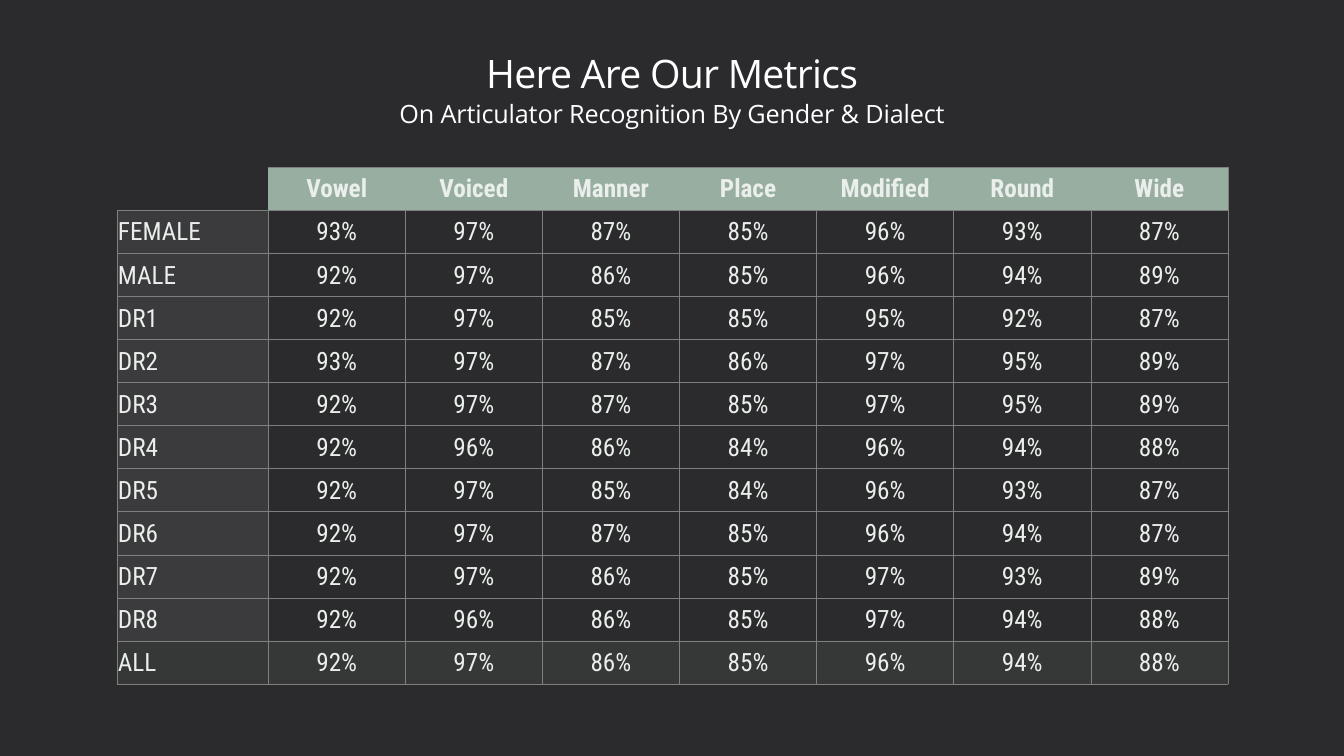
from lxml.etree import SubElement as Sub
from pptx import Presentation
from pptx.dml.color import RGBColor as RGB
from pptx.enum.text import MSO_ANCHOR as Anchor, PP_ALIGN as Align
from pptx.oxml.ns import qn
from pptx.util import Inches, Pt

TITLE = "Here Are Our Metrics"
SUBTITLE = "On Articulator Recognition By Gender & Dialect"
HEADS = ["", "Vowel", "Voiced", "Manner", "Place", "Modified", "Round", "Wide"]
SCORES = [
    ("FEMALE", 93, 97, 87, 85, 96, 93, 87),
    ("MALE", 92, 97, 86, 85, 96, 94, 89),
    ("DR1", 92, 97, 85, 85, 95, 92, 87),
    ("DR2", 93, 97, 87, 86, 97, 95, 89),
    ("DR3", 92, 97, 87, 85, 97, 95, 89),
    ("DR4", 92, 96, 86, 84, 96, 94, 88),
    ("DR5", 92, 97, 85, 84, 96, 93, 87),
    ("DR6", 92, 97, 87, 85, 96, 94, 87),
    ("DR7", 92, 97, 86, 85, 97, 93, 89),
    ("DR8", 92, 96, 86, 85, 97, 94, 88),
    ("ALL", 92, 97, 86, 85, 96, 94, 88),
]
COLORS = {"back": "2B2B2D", "title": "FFFFFF", "text": "EAEFEC",
          "sage": "97AEA0", "label": "555555", "grid": "7F7F7F"}
NO_STYLE = "{2D5ABB26-0587-4C30-8999-92F81FD0307C}"


def color(name):
    return RGB.from_string(COLORS[name])


def add_alpha(clr, percent):
    Sub(clr, qn("a:alpha"), val=str(percent * 1000))


def set_heading(shape, text, top, height, size, track, anchor):
    """Place a centred heading; track is the letter spacing in points."""
    shape.left, shape.top = Inches(1), Inches(top)
    shape.width, shape.height = Inches(11.33), Inches(height)
    frame = shape.text_frame
    frame.text = text
    frame.word_wrap = True
    frame.vertical_anchor = anchor
    frame.margin_left = frame.margin_right = 0
    frame.margin_top = frame.margin_bottom = 0
    para = frame.paragraphs[0]
    para.alignment = Align.CENTER
    para.line_spacing = 0.86
    run = para.runs[0]
    run.font.size, run.font.name = Pt(size), "Open Sans"
    run.font.color.rgb = color("title")
    run.font._element.set("spc", str(round(track * 100)))


def set_borders(cell, sides):
    """Rule the given sides (letters of LRTB) and clear the others."""
    props = cell._tc.get_or_add_tcPr()
    for side in "LRTB":
        line = Sub(props, qn("a:ln" + side), w=str(Pt(0.5)))
        if side in sides:
            fill = Sub(line, qn("a:solidFill"))
            add_alpha(Sub(fill, qn("a:srgbClr"), val=COLORS["grid"]), 50)
        else:
            Sub(line, qn("a:noFill"))


def set_fill(cell, name, percent=100):
    if name is None:
        cell.fill.background()
        return
    cell.fill.solid()
    cell.fill.fore_color.rgb = color(name)
    if percent < 100:
        props = cell._tc.get_or_add_tcPr()
        add_alpha(props.find(qn("a:solidFill")).find(qn("a:srgbClr")), percent)


def set_text(cell, text, align, bold):
    cell.margin_left = cell.margin_right = cell.margin_top = Inches(0.01)
    cell.margin_bottom = 0
    cell.vertical_anchor = Anchor.MIDDLE
    cell.text = text
    para = cell.text_frame.paragraphs[0]
    para.alignment = align
    for run in para.runs:
        run.font.size, run.font.name = Pt(18), "Roboto Condensed"
        run.font.bold = bold
        run.font.color.rgb = color("text")


def add_metrics(slide):
    rows = [HEADS] + [[name] + [f"{n}%" for n in nums] for name, *nums in SCORES]
    last_row, last_col = len(rows) - 1, len(HEADS) - 1
    table = slide.shapes.add_table(
        len(rows), len(HEADS), Inches(1.16), Inches(1.66),
        Inches(11.02), Inches(5.13)).table
    table.first_row = table.horz_banding = False
    table._tbl.tblPr.find(qn("a:tableStyleId")).text = NO_STYLE
    for c, col in enumerate(table.columns):
        col.width = Inches(1.36 if c else 1.5)
    for r, values in enumerate(rows):
        table.rows[r].height = Inches(5.13 / len(rows))
        for c, text in enumerate(values):
            cell = table.cell(r, c)
            if r:
                sides = "LRTB"
            elif c:
                sides = "RTB" if c == last_col else "TB"
            else:
                sides = "B"
            if r == 0:
                fill = ("sage",) if c else (None,)
            elif r == last_row:
                fill = ("sage", 10)
            else:
                fill = (None,) if c else ("label", 40)
            set_borders(cell, sides)
            set_fill(cell, *fill)
            set_text(cell, text, Align.CENTER if c else Align.LEFT, r == 0)


def main():
    deck = Presentation()
    deck.slide_width, deck.slide_height = Inches(13.33), Inches(7.5)
    slide = deck.slides.add_slide(deck.slide_layouts[5])
    slide.background.fill.solid()
    slide.background.fill.fore_color.rgb = color("back")
    set_heading(slide.shapes.title, TITLE, 0.31, 0.89, 28, -0.5, Anchor.MIDDLE)
    add_metrics(slide)
    sub = slide.shapes.add_textbox(0, 0, 0, 0)
    set_heading(sub, SUBTITLE, 1.02, 0.44, 18, -0.1, Anchor.TOP)
    deck.save("out.pptx")


if __name__ == "__main__":
    main()
